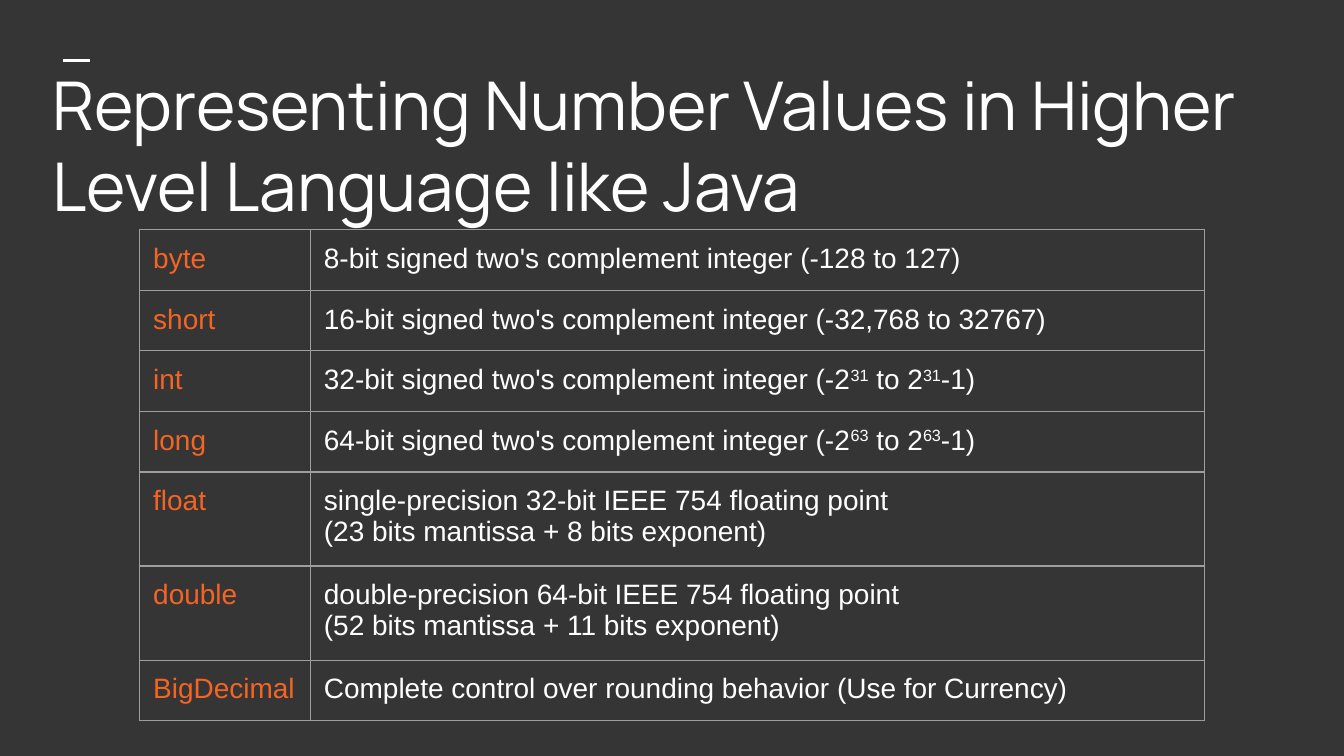
import dataclasses
import lxml.etree
import pptx
import pptx.dml.color
import pptx.enum.shapes
import pptx.enum.text
import pptx.oxml.ns
import pptx.util

Inches = pptx.util.Inches
Pt = pptx.util.Pt
qn = pptx.oxml.ns.qn

WHITE, ORANGE, GREY, DARK = "FFFFFF", "F46524", "9E9E9E", "353535"


@dataclasses.dataclass
class Kind:
    name: str
    lines: list[str]


KINDS = [
    Kind("byte", ["8-bit signed two's complement integer (-128 to 127)"]),
    Kind("short", ["16-bit signed two's complement integer (-32,768 to 32767)"]),
    Kind("int", ["32-bit signed two's complement integer (-2^31^ to 2^31^-1)"]),
    Kind("long", ["64-bit signed two's complement integer (-2^63^ to 2^63^-1)"]),
    Kind("float", ["single-precision 32-bit IEEE 754 floating point",
                   "(23 bits mantissa + 8 bits exponent)"]),
    Kind("double", ["double-precision 64-bit IEEE 754 floating point",
                    "(52 bits mantissa + 11 bits exponent)"]),
    Kind("BigDecimal", ["Complete control over rounding behavior (Use for Currency)"]),
]
WIDTHS = [1.27, 6.65]
HIGH = 0.42


def color(code: str) -> pptx.dml.color.RGBColor:
    return pptx.dml.color.RGBColor.from_string(code)


def style(run, size: float, face: str, code: str) -> None:
    run.font.size = Pt(size)
    run.font.name = face
    run.font.color.rgb = color(code)


def pad(box) -> None:
    box.margin_left = box.margin_right = Inches(0.1)
    box.margin_top = box.margin_bottom = Inches(0.1)


def border(cell) -> None:
    props = cell._tc.get_or_add_tcPr()
    for spot, side in enumerate(("a:lnL", "a:lnR", "a:lnT", "a:lnB")):
        line = lxml.etree.Element(qn(side), w=str(Pt(0.75)))
        fill = lxml.etree.SubElement(line, qn("a:solidFill"))
        lxml.etree.SubElement(fill, qn("a:srgbClr"), val=GREY)
        props.insert(spot, line)


def write(cell, lines: list[str], code: str) -> None:
    pad(cell)
    cell.fill.background()
    border(cell)
    frame = cell.text_frame
    for row, line in enumerate(lines):
        para = frame.add_paragraph() if row else frame.paragraphs[0]
        for part, text in enumerate(line.split("^")):
            run = para.add_run()
            run.text = text
            style(run, 15, "Arial", code)
            if part % 2:
                run._r.get_or_add_rPr().set("baseline", "30000")


def add_dash(slide) -> None:
    dash = slide.shapes.add_connector(
        pptx.enum.shapes.MSO_CONNECTOR.STRAIGHT,
        Inches(0.47), Inches(0.45), Inches(0.67), Inches(0.45))
    dash.line.color.rgb = color(WHITE)
    dash.line.width = Pt(1.5)
    lxml.etree.SubElement(dash._element.spPr, qn("a:effectLst"))


def add_title(slide, text: str) -> None:
    box = slide.shapes.add_textbox(Inches(0.29), Inches(0.68), Inches(9.43), Inches(0.78))
    frame = box.text_frame
    frame.word_wrap = True
    frame.vertical_anchor = pptx.enum.text.MSO_ANCHOR.MIDDLE
    pad(frame)
    frame.text = text
    para = frame.paragraphs[0]
    para.space_after = Pt(10)
    style(para.runs[0], 36, "Manrope", WHITE)


def add_kinds(slide) -> None:
    grid = slide.shapes.add_table(
        len(KINDS), len(WIDTHS), Inches(1.04), Inches(1.71),
        Inches(sum(WIDTHS)), Inches(HIGH * len(KINDS))).table
    grid.first_row = grid.horz_banding = False
    for col, wide in zip(grid.columns, WIDTHS):
        col.width = Inches(wide)
    for row, kind in zip(grid.rows, KINDS):
        row.height = Inches(HIGH)
        write(row.cells[0], [kind.name], ORANGE)
        write(row.cells[1], kind.lines, WHITE)


def main() -> None:
    deck = pptx.Presentation()
    deck.slide_width = Inches(10)
    deck.slide_height = Inches(10 * 9 / 16)
    slide = deck.slides.add_slide(deck.slide_layouts[6])
    slide.background.fill.solid()
    slide.background.fill.fore_color.rgb = color(DARK)
    add_dash(slide)
    add_title(slide, "Representing Number Values in Higher Level Language like Java")
    add_kinds(slide)
    deck.save("out.pptx")


if __name__ == "__main__":
    main()
